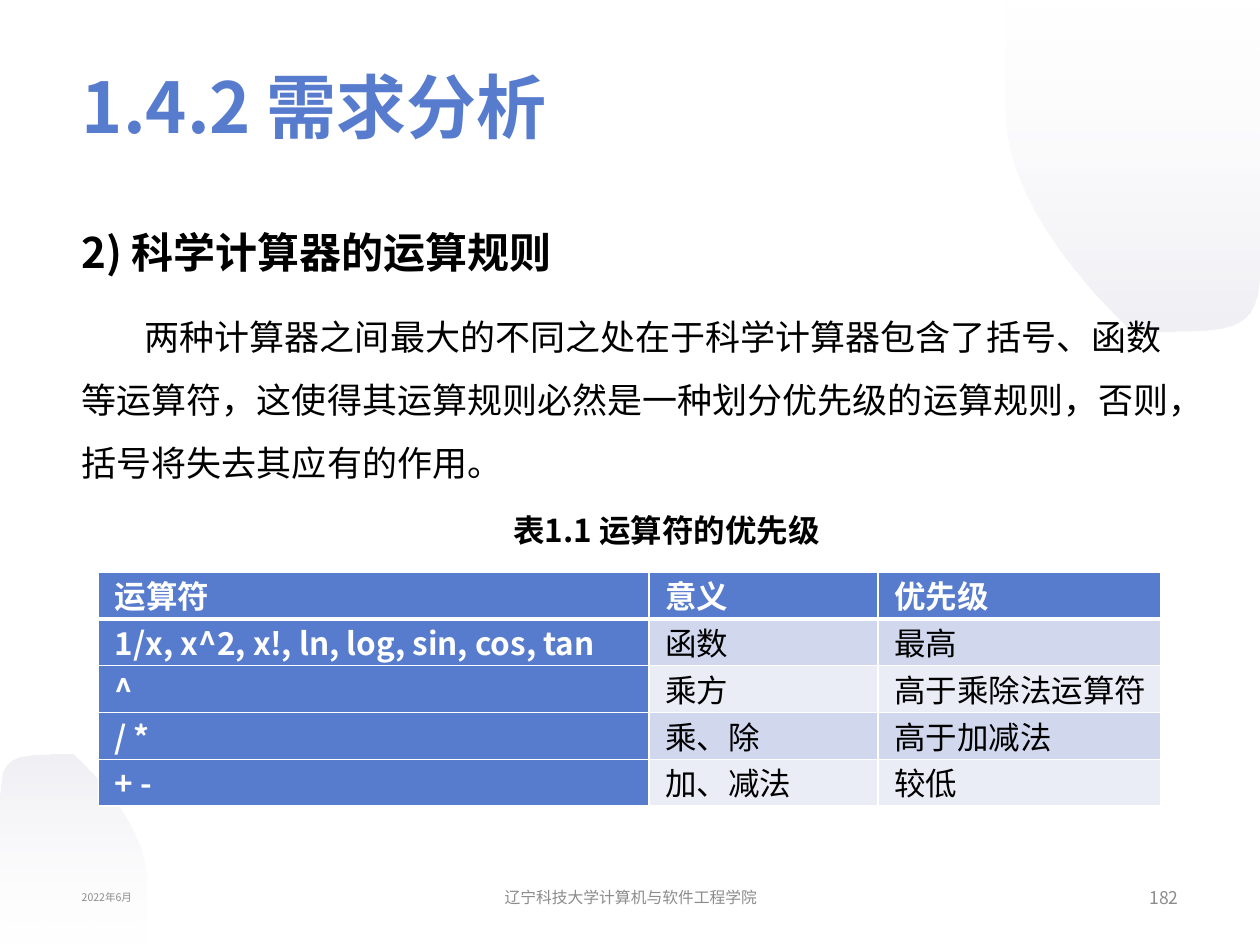
from lxml import etree
from pptx import Presentation
from pptx.dml.color import RGBColor
from pptx.enum.text import MSO_ANCHOR as ANCHOR, PP_ALIGN as ALIGN
from pptx.oxml import parse_xml
from pptx.oxml.ns import nsdecls, qn
from pptx.util import Inches, Pt

FONT = "Noto Sans CJK SC"
COLORS = {
    "accent": "577CCE", "black": "000000", "white": "FFFFFF", "gray": "8C8C8C",
    "haze": "BEBED2", "band_dark": "D1D7ED", "band_light": "EAECF6",
}
ROWS = [
    ("运算符", "意义", "优先级"),
    ("1/x, x^2, x!, ln, log, sin, cos, tan", "函数", "最高"),
    ("^", "乘方", "高于乘除法运算符"),
    ("/ *", "乘、除", "高于加减法"),
    ("+ -", "加、减法", "较低"),
]
# Clipped disc: straight edges, then three Bezier curves of three points each
DISC_START = (0.21, 0)
DISC_EDGES = [(2.02, 0), (2.02, 2.34), (1.92, 2.42)]
DISC_CURVES = [
    (1.73, 2.55), (1.52, 2.63), (1.3, 2.63),
    (0.58, 2.63), (0, 1.87), (0, 0.92),
    (0, 0.63), (0.06, 0.35), (0.16, 0.11),
]


def rgb(name):
    return RGBColor.from_string(COLORS[name])


def add_run(p, text, size, color, bold=False):
    r = p.add_run()
    r.text = text
    r.font.size, r.font.bold, r.font.name = Pt(size), bold, FONT
    r.font.color.rgb = rgb(color)
    etree.SubElement(r.font._element, qn("a:ea")).set("typeface", FONT)


def add_box(s, box, anchor=ANCHOR.MIDDLE):
    tf = s.shapes.add_textbox(*map(Inches, box)).text_frame
    tf.word_wrap = True
    tf.vertical_anchor = anchor
    return tf


def add_line(s, box, text, size, color, align, bold=False):
    p = add_box(s, box).paragraphs[0]
    p.alignment = align
    add_run(p, text, size, color, bold)


def add_corner_disc(s, box, rotation=0):
    """Disc cut off by the slide corner, with a fading fill."""
    fb = s.shapes.build_freeform(*DISC_START, scale=Inches(1))
    fb.add_line_segments(DISC_EDGES + DISC_CURVES, close=True)
    sp = fb.convert_to_shape()
    # Merge the curve points, three at a time, into Bezier segments
    lines = list(sp._element.iter(qn("a:lnTo")))[len(DISC_EDGES):]
    for i in range(0, len(lines), 3):
        curve = etree.Element(qn("a:cubicBezTo"))
        lines[i].addprevious(curve)
        for line in lines[i:i + 3]:
            curve.append(line[0])
            line.getparent().remove(line)
    sp.left, sp.top, sp.width, sp.height = map(Inches, box)
    sp.rotation = rotation
    sp.shadow.inherit = False
    sp.line.fill.background()
    sp.fill.gradient()
    sp.fill.gradient_angle = 270
    for stop, name, pos in zip(sp.fill.gradient_stops, ("white", "haze"), (0, 1)):
        stop.color.rgb = rgb(name)
        stop.position = pos
    for clr, opacity in zip(sp._element.spPr.iter(qn("a:srgbClr")), (10, 24)):
        etree.SubElement(clr, qn("a:alpha")).set("val", str(opacity * 1000))


def add_title(s, box, text):
    title = s.shapes.title
    title.left, title.top, title.width, title.height = map(Inches, box)
    tf = title.text_frame
    tf.vertical_anchor = ANCHOR.MIDDLE
    p = tf.paragraphs[0]
    p.alignment, p.line_spacing = ALIGN.LEFT, 0.9
    add_run(p, text, 40, "accent", True)


def add_body(s, box):
    tf = add_box(s, box, ANCHOR.TOP)
    p = tf.paragraphs[0]
    p.line_spacing, p.space_after = Pt(40), Pt(10)
    add_run(p, "2) 科学计算器的运算规则", 24, "black", True)
    p = tf.add_paragraph()
    p.level = 1
    p.line_spacing, p.space_after = Pt(36), Pt(10)
    pPr = p._p.get_or_add_pPr()
    pPr.set("marL", "0")
    pPr.set("indent", str(Inches(0.5)))
    add_run(p, "两种计算器之间最大的不同之处在于科学计算器包含了括号、函数等运算符，"
               "这使得其运算规则必然是一种划分优先级的运算规则，否则，括号将失去其应有的作用。", 20, "black")


def set_borders(cell, row):
    widths = {"lnL": 1, "lnR": 1, "lnT": 3 if row == 1 else 1, "lnB": 3 if row == 0 else 1}
    for tag, width in widths.items():
        cell._tc.get_or_add_tcPr().append(parse_xml(
            f'<a:{tag} {nsdecls("a")} w="{Pt(width)}"><a:solidFill>'
            f'<a:srgbClr val="{COLORS["white"]}"/></a:solidFill></a:{tag}>'))


def add_priority_table(s, box, col_widths):
    table = s.shapes.add_table(len(ROWS), len(col_widths), *map(Inches, box)).table
    for col, width in zip(table.columns, col_widths):
        col.width = Inches(width)
    for i, row in enumerate(ROWS):
        for j, text in enumerate(row):
            cell = table.cell(i, j)
            head = i == 0 or j == 0
            cell.margin_left = cell.margin_right = Inches(0.07)
            cell.margin_top = cell.margin_bottom = 0
            set_borders(cell, i)
            cell.fill.solid()
            cell.fill.fore_color.rgb = rgb("accent" if head else "band_dark" if i % 2 else "band_light")
            p = cell.text_frame.paragraphs[0]
            p._p.get_or_add_pPr().set("marL", str(Inches(0.06)))
            add_run(p, text, 18, "white" if head else "black", head)


def add_footer(s, top, height):
    for left, width, text, size, align in (
        (0.55, 2.21, "2022年6月", 6, ALIGN.LEFT),
        (3.38, 3.25, "辽宁科技大学计算机与软件工程学院", 9, ALIGN.CENTER),
        (7.24, 2.21, "182", 10, ALIGN.RIGHT),
    ):
        add_line(s, (left, top, width, height), text, size, "gray", align)


def main():
    prs = Presentation()
    prs.slide_width, prs.slide_height = Inches(10), Inches(7.5)
    s = prs.slides.add_slide(prs.slide_layouts[5])
    # Background discs
    add_corner_disc(s, (7.98, 0, 2.02, 2.63))
    add_corner_disc(s, (0, 5.99, 1.16, 1.51), 180)
    # Title and text
    add_title(s, (0.55, 0.46, 8.9, 0.84), "1.4.2 需求分析")
    add_footer(s, 6.99, 0.26)
    add_body(s, (0.55, 1.59, 8.9, 5.24))
    # Table with caption
    add_priority_table(s, (0.78, 4.54, 8.43, 1.86), (4.37, 1.82, 2.24))
    add_line(s, (3.16, 4.01, 4.26, 0.4), "表1.1 运算符的优先级", 18, "black", ALIGN.CENTER, True)
    prs.save("out.pptx")


if __name__ == "__main__":
    main()
